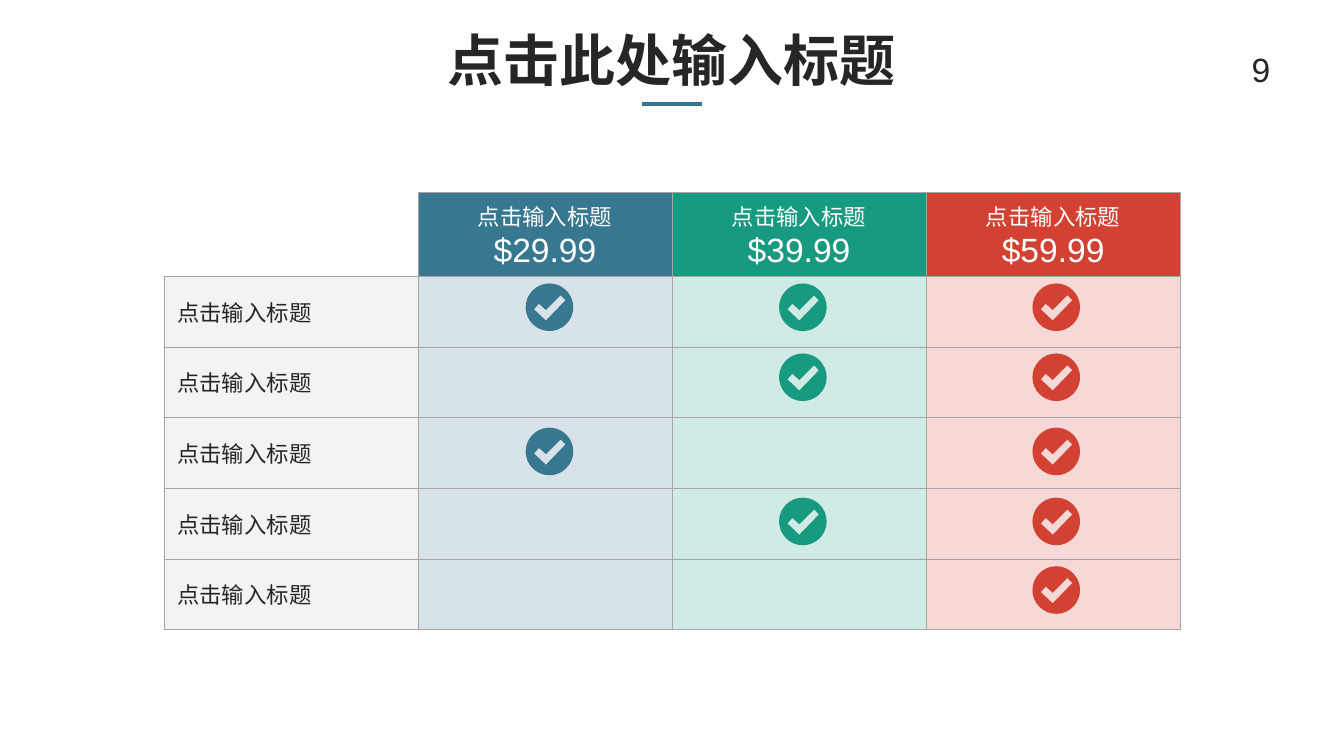
from dataclasses import dataclass

from lxml import etree
from pptx import Presentation
from pptx import util as u
from pptx.dml.color import RGBColor
from pptx.enum import shapes, text
from pptx.oxml import ns

SCALE = 914400 / 192  # EMU per px
FONT = "Arial"
DARK, WHITE, GRID = "262626", "FFFFFF", "A6A6A6"
LABEL = "点击输入标题"


@dataclass(frozen=True)
class Plan:
    price: str
    color: str
    rows: tuple[int, ...]  # rows that carry a tick


PLANS = (
    Plan("$29.99", "377790", (0, 2)),
    Plan("$39.99", "189A80", (0, 1, 3)),
    Plan("$59.99", "D24132", (0, 1, 2, 3, 4)),
)

# Table grid and tick places, in px
LEFT, TOP, COL, HEAD, ROW = 234, 275, 363, 115, 101
HALF, TICK_X, TICK_STEP = 34, 751, 362
TICK_Y = (405, 505, 611, 711, 809)
RING = ((HALF, 0), (0, HALF), (HALF, 2 * HALF), (2 * HALF, HALF), (HALF, 0))
MARK = ((29, 53), (12, 37), (19, 29), (29, 38), (50, 17), (57, 24))
BEND = 0.55  # handle length of a quarter circle, per radius


def px(n: float) -> int:
    return round(n * SCALE)


def rgb(code: str) -> RGBColor:
    return RGBColor.from_string(code)


def style(para, size: int, color: str, align=text.PP_ALIGN.LEFT, bold=False) -> None:
    para.alignment = align
    for run in para.runs:
        font = run.font
        font.name, font.size, font.bold = FONT, u.Pt(size), bold
        font.color.rgb = rgb(color)


def inset(frame) -> None:
    frame.word_wrap = True
    frame.auto_size = text.MSO_AUTO_SIZE.NONE
    frame.vertical_anchor = text.MSO_ANCHOR.TOP
    frame.margin_left = frame.margin_right = px(14)
    frame.margin_top = frame.margin_bottom = px(7)


def paint(cell, color: str, alpha: int = 100) -> None:
    cell.fill.solid()
    cell.fill.fore_color.rgb = rgb(color)
    if alpha < 100:
        tone = cell._tc.tcPr.find(".//" + ns.qn("a:srgbClr"))
        etree.SubElement(tone, ns.qn("a:alpha"), val=str(alpha * 1000))


def border(cell, sides: str = "LRTB") -> None:
    for i, side in enumerate("LRTB"):
        line = etree.Element(ns.qn(f"a:ln{side}"), w=str(u.Pt(0.25)))
        if side in sides:
            fill = etree.SubElement(line, ns.qn("a:solidFill"))
            etree.SubElement(fill, ns.qn("a:srgbClr"), val=GRID)
        else:
            etree.SubElement(line, ns.qn("a:noFill"))
        cell._tc.get_or_add_tcPr().insert(i, line)


def curve(shape) -> None:
    """Turn the first four straight sides into quarter circles."""
    sides = shape._element.findall(".//" + ns.qn("a:lnTo"))
    for i, (side, a, b) in enumerate(zip(sides, RING, RING[1:])):
        # The corner of the square lies between the two ring points
        corner = (b[0], a[1]) if i % 2 == 0 else (a[0], b[1])
        arc = etree.Element(ns.qn("a:cubicBezTo"))
        hands = [[p + BEND * (c - p) for p, c in zip(end, corner)] for end in (a, b)]
        for x, y in (*hands, b):
            etree.SubElement(arc, ns.qn("a:pt"), x=str(px(x)), y=str(px(y)))
        side.getparent().replace(side, arc)


def tick(slide, x: int, y: int, color: str) -> None:
    """Draw a disc with a check mark cut out of it."""
    ring, mark = ([(px(a), px(b)) for a, b in pts] for pts in (RING, MARK))
    form = slide.shapes.build_freeform(*ring[0])
    form.add_line_segments(ring[1:])
    form.move_to(*mark[0])
    form.add_line_segments(mark[1:])
    shape = form.convert_to_shape(px(x), px(y))
    curve(shape)
    shape.shadow.inherit = False
    shape.fill.solid()
    shape.fill.fore_color.rgb = rgb(color)
    shape.line.fill.background()


def heading(slide) -> None:
    # Title
    title = slide.shapes.title
    title.left, title.top, title.width, title.height = map(px, (132, 29, 1655, 136))
    frame = title.text_frame
    frame.text = "点击此处输入标题"
    inset(frame)
    style(frame.paragraphs[0], 30, DARK, text.PP_ALIGN.CENTER, True)

    # Short rule under the title
    rule = slide.shapes.add_connector(
        shapes.MSO_CONNECTOR.STRAIGHT, px(917), px(149), px(1003), px(149))
    rule.line.color.rgb = rgb("34758F")
    rule.line.width = u.Pt(2)
    etree.SubElement(rule._element.spPr, ns.qn("a:effectLst"))

    # Page number
    page = slide.shapes.add_textbox(*map(px, (1774, 63, 102, 58))).text_frame
    page.text = "9"
    inset(page)
    style(page.paragraphs[0], 18, DARK)


def pricing(slide) -> None:
    rows, cols = len(TICK_Y), len(PLANS) + 1
    table = slide.shapes.add_table(
        rows + 1, cols, px(LEFT), px(TOP), px(COL * cols), px(HEAD + ROW * rows)).table
    table.first_row = table.horz_banding = False
    for col in table.columns:
        col.width = px(COL)
    for i, row in enumerate(table.rows):
        row.height = px(ROW if i else HEAD)

    # Empty corner
    corner = table.cell(0, 0)
    corner.fill.background()
    border(corner, "RB")

    # Row labels
    for r in range(1, rows + 1):
        cell = table.cell(r, 0)
        cell.text_frame.text = LABEL
        cell.vertical_anchor = text.MSO_ANCHOR.MIDDLE
        style(cell.text_frame.paragraphs[0], 12, DARK)
        paint(cell, "D9D9D9", 30)
        border(cell)

    # Plan columns
    for c, plan in enumerate(PLANS):
        head = table.cell(0, c + 1)
        head.text_frame.text = f"{LABEL}\n{plan.price}"
        for para, size in zip(head.text_frame.paragraphs, (12, 18)):
            style(para, size, WHITE, text.PP_ALIGN.CENTER)
        paint(head, plan.color)
        border(head)
        for r in range(1, rows + 1):
            cell = table.cell(r, c + 1)
            paint(cell, plan.color, 20)
            border(cell)
        for r in plan.rows:
            tick(slide, TICK_X + TICK_STEP * c, TICK_Y[r], plan.color)


def main() -> None:
    deck = Presentation()
    deck.slide_width, deck.slide_height = px(1920), px(1080)
    slide = deck.slides.add_slide(deck.slide_layouts[5])
    heading(slide)
    pricing(slide)
    deck.save("out.pptx")


if __name__ == "__main__":
    main()
